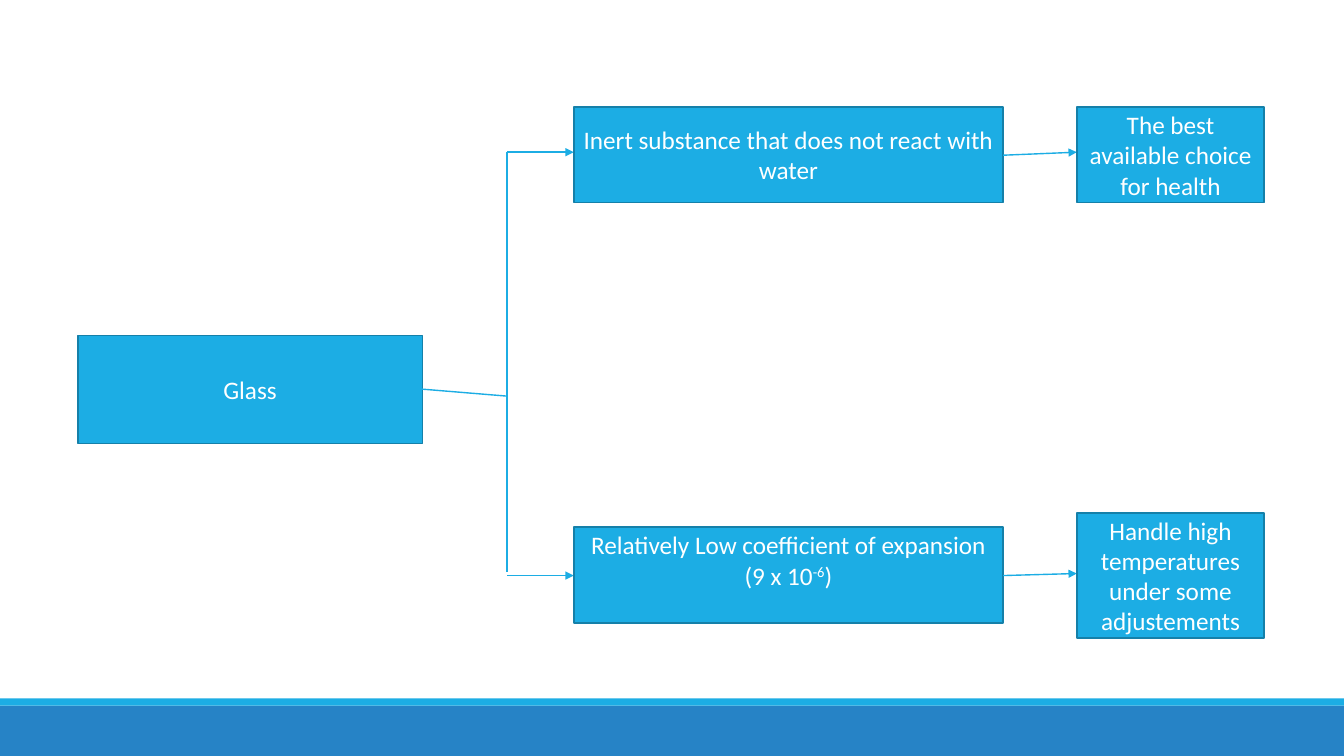
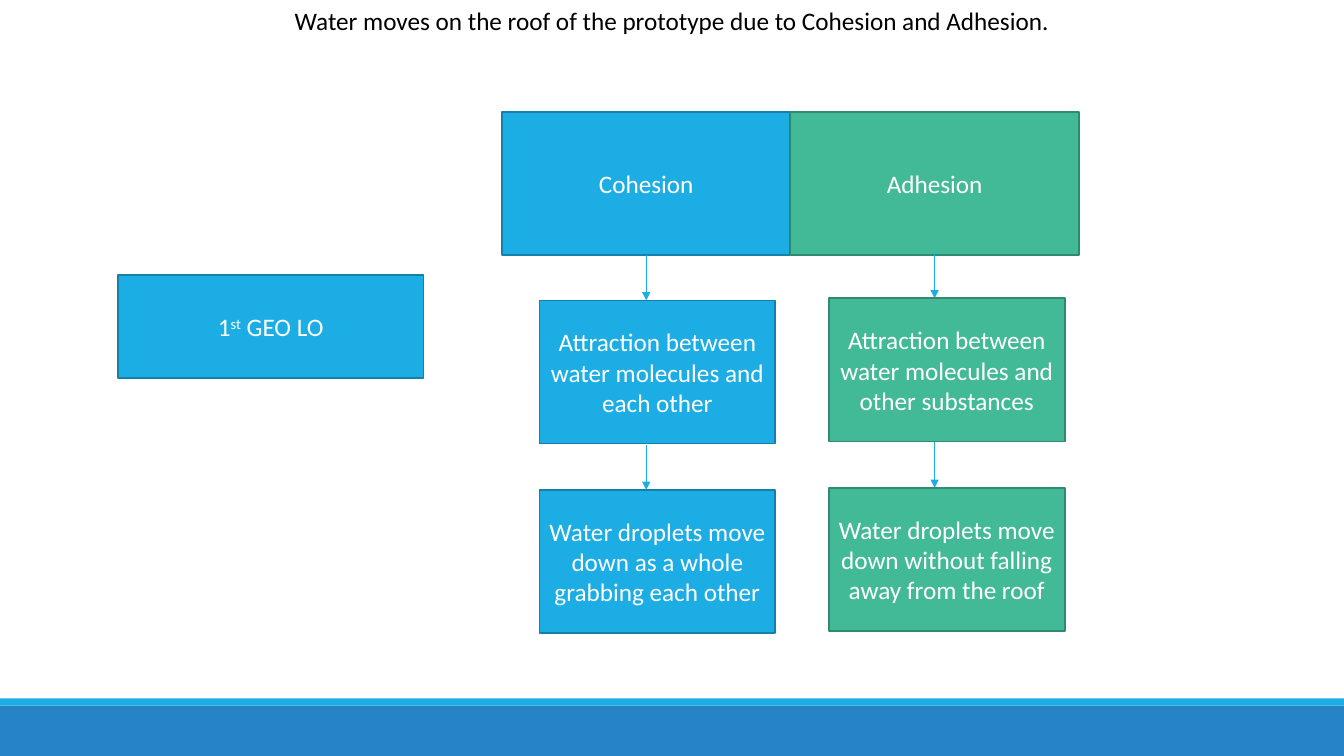
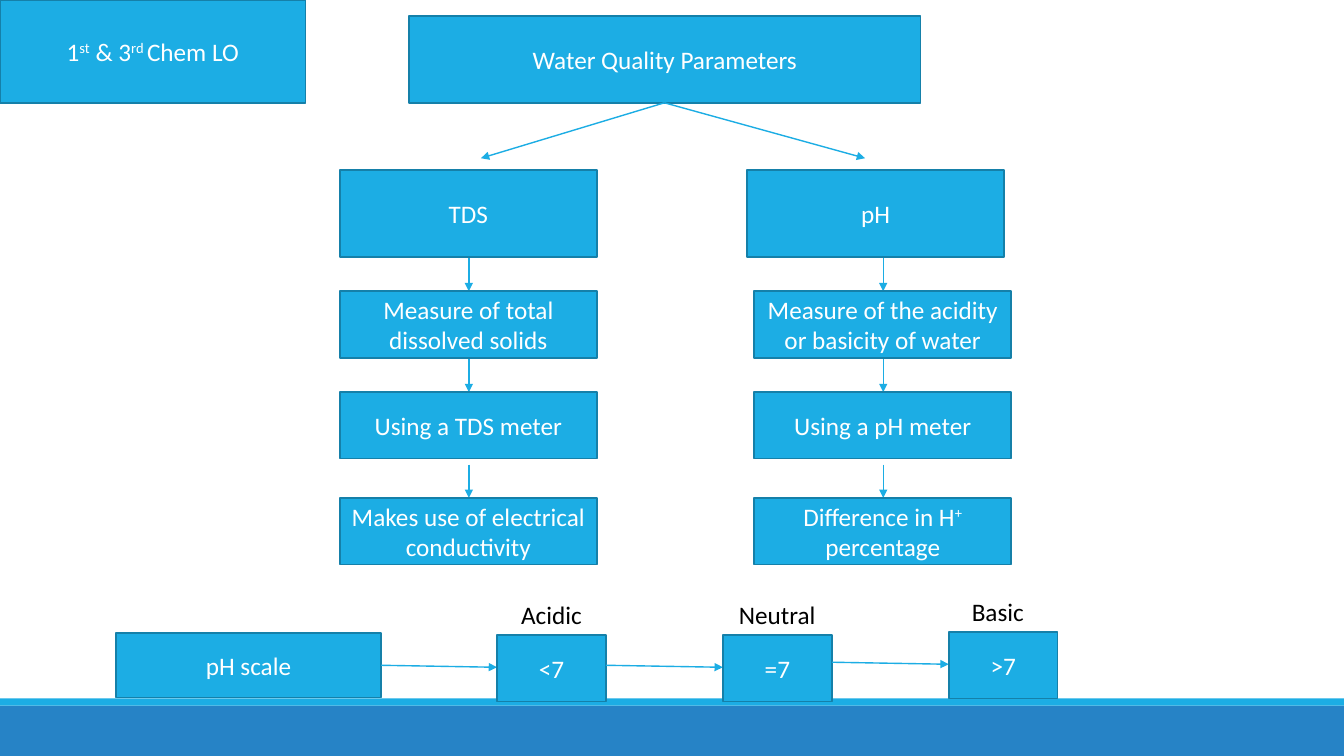
from lxml import etree
from pptx import Presentation
from pptx.dml.color import RGBColor
from pptx.enum.shapes import MSO_CONNECTOR, MSO_SHAPE
from pptx.enum.text import MSO_ANCHOR, PP_ALIGN
from pptx.oxml.ns import qn
from pptx.util import Pt

PX = 9144
WIDE, HIGH = 1333, 750
RECT = MSO_SHAPE.RECTANGLE
LINE = MSO_CONNECTOR.STRAIGHT
TOP, MID = MSO_ANCHOR.TOP, MSO_ANCHOR.MIDDLE
LEFT, CENTER = PP_ALIGN.LEFT, PP_ALIGN.CENTER
FONT, SIZE = "Calibri", 18
HUES = {
    "blue": "1CADE4", "blue edge": "1580A9",
    "green": "42BA97", "green edge": "318A70",
    "band": "2683C6", "white": "FFFFFF", "black": "000000",
}


class Deck:
    """Holds the shared style and the current slide."""

    def __init__(self):
        self.show = Presentation()
        self.show.slide_width = WIDE * PX
        self.show.slide_height = HIGH * PX
        self.slide = None

    def hue(self, name):
        return RGBColor.from_string(HUES[name])

    def page(self):
        self.slide = self.show.slides.add_slide(self.show.slide_layouts[6])
        self.rect(0, 700, WIDE, 50, "band")
        self.rect(0, 693, WIDE, 7, "blue")

    def rect(self, x, y, w, h, fill):
        shape = self.slide.shapes.add_shape(RECT, x * PX, y * PX, w * PX, h * PX)
        shape.shadow.inherit = False
        shape.fill.solid()
        shape.fill.fore_color.rgb = self.hue(fill)
        shape.line.fill.background()
        return shape

    def words(self, frame, text, color, align, anchor):
        frame.word_wrap = True
        frame.vertical_anchor = anchor
        para = frame.paragraphs[0]
        para.alignment = align
        for i, part in enumerate(text.split("^")):
            run = para.add_run()
            run.text = part
            run.font.name = FONT
            run.font.size = Pt(SIZE)
            run.font.color.rgb = self.hue(color)
            if i % 2:
                run._r.get_or_add_rPr().set("baseline", "30000")

    def box(self, x, y, w, h, text, fill="blue", foot=5):
        shape = self.rect(x, y, w, h, fill)
        shape.line.color.rgb = self.hue(fill + " edge")
        shape.line.width = Pt(1.25)
        shape.text_frame.margin_bottom = foot * PX
        self.words(shape.text_frame, text, "white", CENTER, MID)

    def label(self, x, y, w, text, align=LEFT):
        shape = self.slide.shapes.add_textbox(x * PX, y * PX, w * PX, 40 * PX)
        self.words(shape.text_frame, text, "black", align, TOP)

    def link(self, x1, y1, x2, y2, tip=True):
        link = self.slide.shapes.add_connector(
            LINE, x1 * PX, y1 * PX, x2 * PX, y2 * PX)
        link.line.color.rgb = self.hue("blue")
        link.line.width = Pt(1)
        props = link._element.spPr
        if tip:
            etree.SubElement(props.find(qn("a:ln")), qn("a:tailEnd"),
                             type="triangle")
        etree.SubElement(props, qn("a:effectLst"))


def glass(deck):
    """Draws the properties of glass."""
    deck.page()
    deck.box(77, 333, 342, 107, "Glass")
    deck.link(418, 386, 503, 393, tip=False)
    deck.link(503, 151, 503, 567, tip=False)
    rows = [
        (106, 151, "Inert substance that does not react with water", 5,
         106, 95, "The best available choice for health"),
        (523, 571, "Relatively Low coefficient of expansion (9 x 10^-6^)", 35,
         509, 124, "Handle high temperatures under some adjustements"),
    ]
    for y, mid, trait, foot, top, h, gain in rows:
        deck.link(503, mid, 569, mid)
        deck.box(569, y, 426, 95, trait, foot=foot)
        deck.link(995, y + 48, 1068, top + h // 2 - 2)
        deck.box(1068, top, 186, h, gain)


def roof(deck):
    """Draws cohesion beside adhesion."""
    deck.page()
    deck.label(0, 0, WIDE,
               "Water moves on the roof of the prototype due to "
               "Cohesion and Adhesion.", CENTER)
    cols = [
        (498, 535, 298, "blue", "Cohesion",
         ["Attraction between water molecules and each other",
          "Water droplets move down as a whole grabbing each other"]),
        (784, 822, 296, "green", "Adhesion",
         ["Attraction between water molecules and other substances",
          "Water droplets move down without falling away from the roof"]),
    ]
    for head, x, top, fill, name, steps in cols:
        deck.box(head, 111, 286, 142, name, fill)
        for i, step in enumerate(steps):
            y = top + 188 * i
            deck.link(head + 143, y - 45, head + 143, y)
            deck.box(x, y, 234, 142, step, fill)
    deck.box(117, 273, 303, 102, "1^st^ GEO LO")


def water(deck):
    """Draws the water quality parameters and the pH scale."""
    deck.page()
    deck.box(406, 16, 507, 86, "Water Quality Parameters")
    cols = [
        (337, 337, 477, "TDS",
         ["Measure of total dissolved solids", "Using a TDS meter",
          "Makes use of electrical conductivity"]),
        (741, 748, 858, "pH",
         ["Measure of the acidity or basicity of water", "Using a pH meter",
          "Difference in H^+ ^percentage"]),
    ]
    for head, x, end, name, steps in cols:
        deck.link(659, 102, end, 157)
        deck.box(head, 169, 255, 86, name)
        for y, step in zip((289, 389, 494), steps):
            deck.link(x + 128, y - 33, x + 128, y)
            deck.box(x, y, 255, 66, step)
    deck.box(115, 628, 263, 64, "pH scale")
    scale = [("<7", "Acidic", 630, 507, 94), ("=7", "Neutral", 630, 723, 116),
             (">7", "Basic", 627, 954, 94)]
    start = 378
    for i, (mark, name, y, left, w) in enumerate(scale):
        x = 493 + 224 * i
        deck.link(start, y + 30, x, y + 32)
        deck.box(x, y, 108, 66, mark)
        deck.label(left, y - 40, w, name)
        start = x + 108
    deck.box(0, 0, 303, 102, "1^st^ & 3^rd ^Chem LO")


def main():
    """Builds and saves the slides."""
    deck = Deck()
    for draw in (glass, roof, water):
        draw(deck)
    deck.show.save("out.pptx")


if __name__ == "__main__":
    main()
